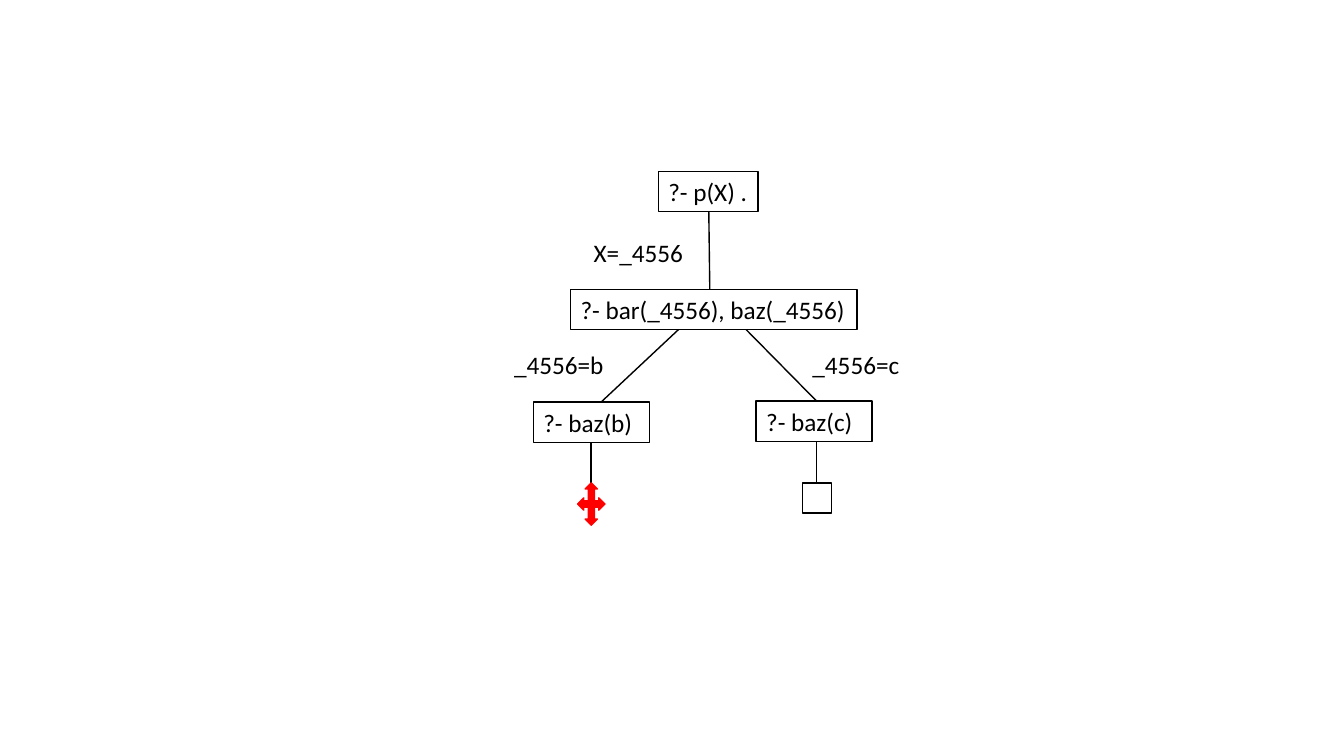
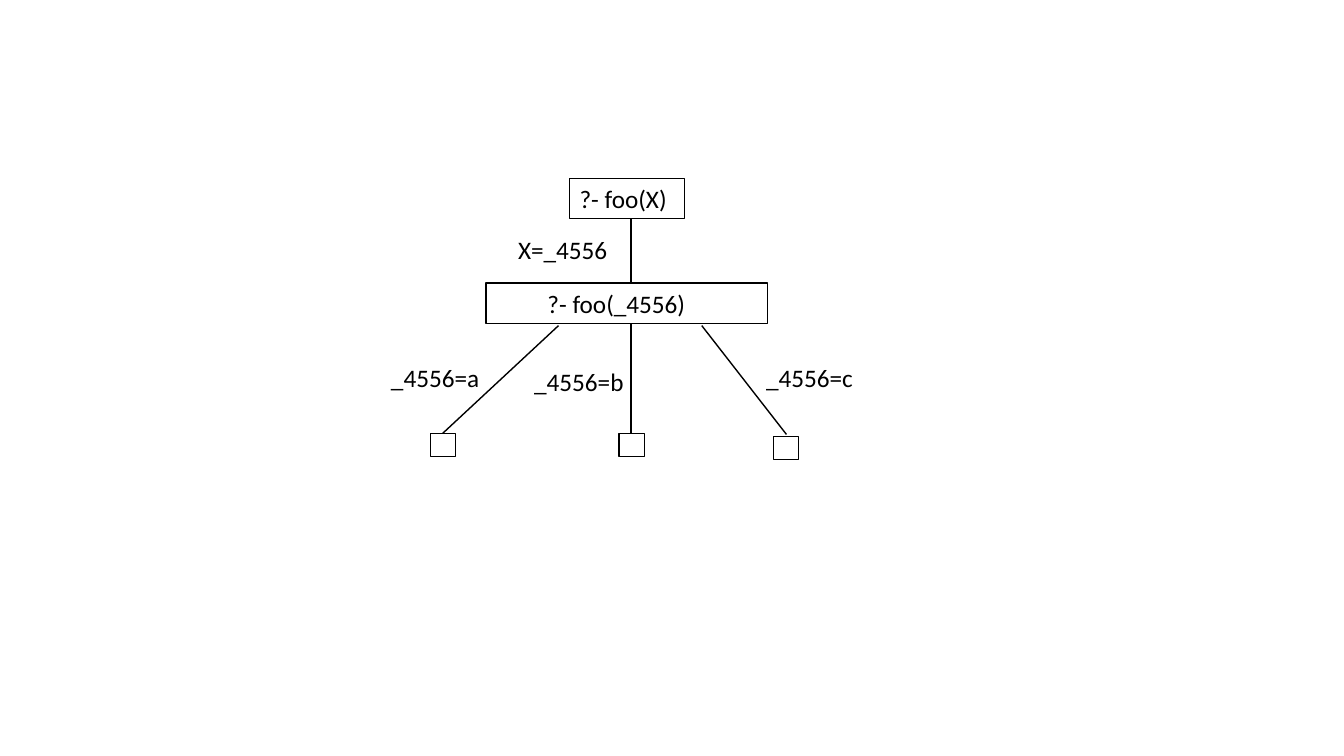
from pptx import Presentation
from pptx.dml.color import RGBColor
from pptx.enum.shapes import MSO_CONNECTOR, MSO_SHAPE
from pptx.enum.text import MSO_ANCHOR, PP_ALIGN
from pptx.oxml.ns import qn
from pptx.util import Inches, Pt

BLACK, WHITE, RED = "000000", "FFFFFF", "FF0000"
FONT, TEXT_SIZE = "Calibri", 18
ROW_HEIGHT = 0.4
INSET = 0.1


def rgb(value):
    """Turn a hex string into a colour."""
    return RGBColor.from_string(value)


def put_text(sp, text, inset=INSET):
    """Write one left-aligned line into a shape."""
    tf = sp.text_frame
    tf.word_wrap = True
    tf.vertical_anchor = MSO_ANCHOR.MIDDLE
    tf.margin_left, tf.margin_right = Inches(inset), 0
    p = tf.paragraphs[0]
    p.text = text
    p.alignment = PP_ALIGN.LEFT
    p.font.name, p.font.size = FONT, Pt(TEXT_SIZE)
    p.font.color.rgb = rgb(BLACK)


def add_box(s, x, y, w, h, kind=MSO_SHAPE.RECTANGLE, fill=WHITE, line=BLACK):
    """Add a filled and outlined shape."""
    sp = s.shapes.add_shape(kind, Inches(x), Inches(y), Inches(w), Inches(h))
    sp.shadow.inherit = False
    sp.fill.solid()
    sp.fill.fore_color.rgb = rgb(fill)
    sp.line.color.rgb = rgb(line)
    sp.line.width = Pt(1)
    return sp


def add_goal(s, text, x, y, w, inset=INSET):
    """Add a tree node that holds a query."""
    put_text(add_box(s, x, y, w, ROW_HEIGHT), text, inset)


def add_binding(s, text, x, y, w=1.1):
    """Add the label of a branch."""
    sp = s.shapes.add_textbox(Inches(x), Inches(y), Inches(w), Inches(ROW_HEIGHT))
    put_text(sp, text)


def add_branch(s, x1, y1, x2, y2):
    """Add a thin line between two nodes."""
    line = s.shapes.add_connector(
        MSO_CONNECTOR.STRAIGHT, Inches(x1), Inches(y1), Inches(x2), Inches(y2))
    line.line.color.rgb = rgb(BLACK)
    line.line.width = Pt(1)
    props = line._element.spPr
    props.append(props.makeelement(qn("a:effectLst"), {}))


def build_failure_tree(s):
    """Draw the search tree with one failing and one successful branch."""
    for branch in [(7.03, 2.1, 7.04, 2.87), (6.74, 3.26, 5.95, 4),
                   (7.4, 3.27, 8.1, 3.98), (5.86, 4.39, 5.86, 4.79),
                   (8.1, 4.39, 8.1, 4.79)]:
        add_branch(s, *branch)
    add_goal(s, "?- p(X) .", 6.53, 1.7, 0.99)
    add_goal(s, "?- bar(_4556), baz(_4556)", 5.66, 2.87, 2.84)
    add_goal(s, "?- baz(b)", 5.29, 3.99, 1.15)
    add_goal(s, "?- baz(c)", 7.5, 3.98, 1.15)
    add_binding(s, "X=_4556", 5.79, 2.3)
    add_binding(s, "_4556=b", 5, 3.42)
    add_binding(s, "_4556=c", 7.96, 3.42)
    add_box(s, 5.73, 4.79, 0.27, 0.42, MSO_SHAPE.QUAD_ARROW, RED, RED)
    add_box(s, 7.96, 4.79, 0.29, 0.3)


def build_success_tree(s):
    """Draw the search tree with three successful branches."""
    add_goal(s, "?- foo(X)", 5.65, 1.77, 1.14)
    add_goal(s, "?- foo(_4556)", 4.82, 2.81, 2.79, inset=0.61)
    add_branch(s, 6.26, 2.17, 6.26, 2.81)
    add_binding(s, "X=_4556", 5.04, 2.27)
    leaves = [
        ("_4556=a", 3.78, 3.54, (5.54, 3.23, 4.39, 4.3), (4.27, 4.3)),
        ("_4556=b", 5.2, 3.58, (6.26, 3.21, 6.26, 4.3), (6.14, 4.3)),
        ("_4556=c", 7.5, 3.54, (6.96, 3.23, 7.8, 4.31), (7.67, 4.33)),
    ]
    for text, x, y, branch, leaf in leaves:
        add_branch(s, *branch)
        add_box(s, *leaf, 0.25, 0.23)
        add_binding(s, text, x, y)


def main():
    """Build both slides and save the file."""
    prs = Presentation()
    prs.slide_width, prs.slide_height = Inches(13.33), Inches(7.5)
    blank = prs.slide_layouts[6]
    for build in (build_failure_tree, build_success_tree):
        build(prs.slides.add_slide(blank))
    prs.save("out.pptx")


main()
